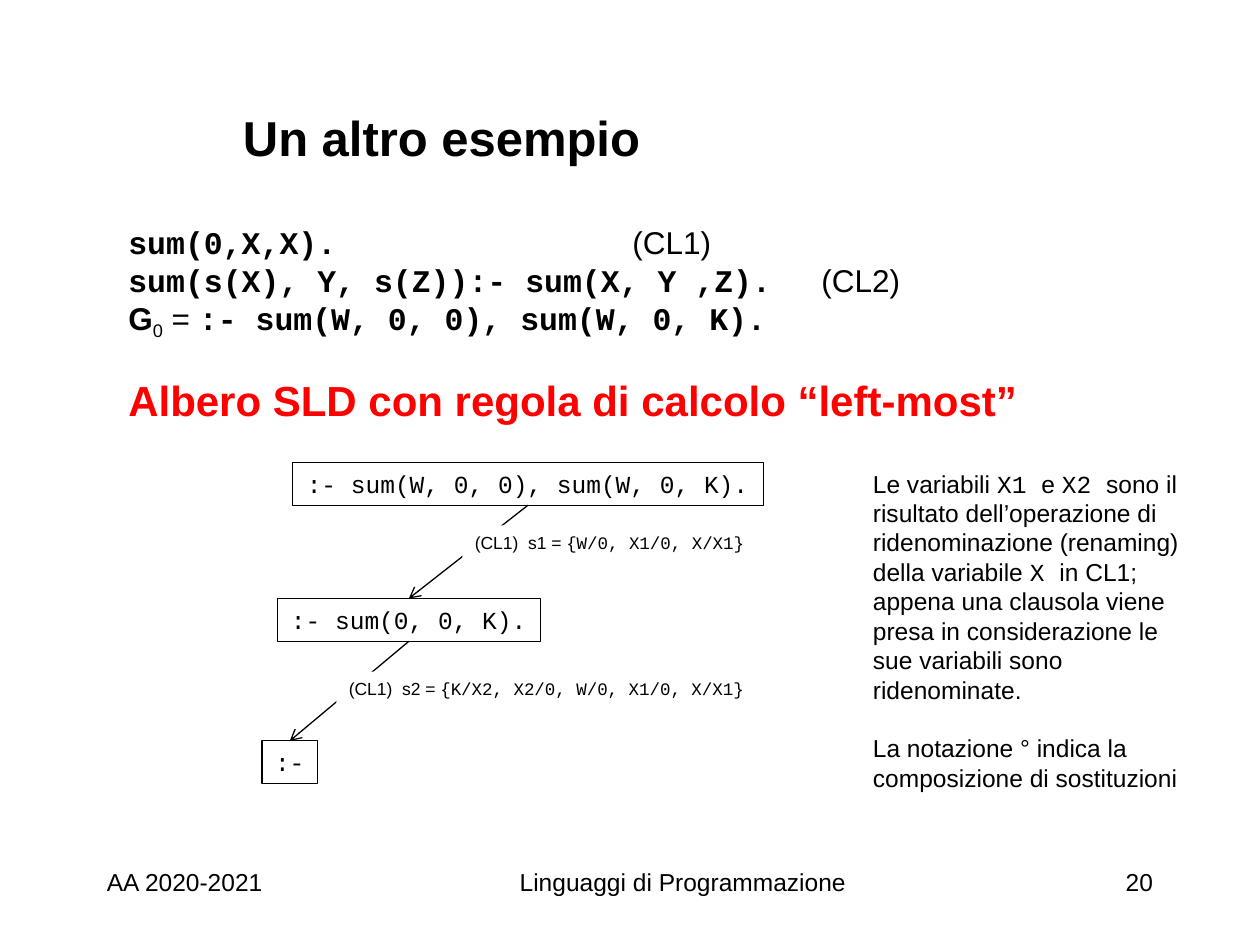
import pptx
import pptx.dml.color
import pptx.enum.shapes
import pptx.enum.text
import pptx.oxml
import pptx.oxml.ns
import pptx.util
from dataclasses import dataclass
from typing import NamedTuple, Optional

Inches = pptx.util.Inches
Align = pptx.enum.text.PP_ALIGN
Anchor = pptx.enum.text.MSO_ANCHOR
COLORS = {"black": "000000", "red": "FF0000", "white": "FFFFFF"}
SANS = "Arial"
MONO = "Courier New"


class Run(NamedTuple):
    text: str
    font: str = SANS
    bold: bool = False
    baseline: int = 0


@dataclass
class Block:
    left: float
    top: float
    width: float
    height: float
    paragraphs: list[list[Run]]
    size: float = 14
    color: str = "black"
    align: Align = Align.LEFT
    anchor: Anchor = Anchor.TOP
    wrap: bool = False
    grow: bool = True
    gap: float = 0
    fill: Optional[str] = None
    line: Optional[str] = None


def rgb(name: str) -> pptx.dml.color.RGBColor:
    return pptx.dml.color.RGBColor.from_string(COLORS[name])


def write_text(shape, block: Block) -> None:
    frame = shape.text_frame
    frame.word_wrap = block.wrap
    frame.vertical_anchor = block.anchor
    sizing = pptx.enum.text.MSO_AUTO_SIZE
    frame.auto_size = sizing.SHAPE_TO_FIT_TEXT if block.grow else sizing.NONE
    for index, runs in enumerate(block.paragraphs):
        paragraph = frame.add_paragraph() if index else frame.paragraphs[0]
        paragraph.alignment = block.align
        if index and block.gap:
            paragraph.space_before = pptx.util.Pt(block.gap)
        for item in runs:
            run = paragraph.add_run()
            run.text = item.text
            run.font.name = item.font
            run.font.size = pptx.util.Pt(block.size)
            run.font.bold = item.bold
            run.font.color.rgb = rgb(block.color)
            if item.baseline:
                run._r.get_or_add_rPr().set("baseline", str(item.baseline))


def add_block(slide, block: Block):
    bounds = [Inches(v) for v in (block.left, block.top, block.width, block.height)]
    if block.fill or block.line:
        shape = slide.shapes.add_shape(pptx.enum.shapes.MSO_SHAPE.RECTANGLE, *bounds)
        shape.shadow.inherit = False
        if block.fill:
            shape.fill.solid()
            shape.fill.fore_color.rgb = rgb(block.fill)
        else:
            shape.fill.background()
        if block.line:
            shape.line.color.rgb = rgb(block.line)
            shape.line.width = pptx.util.Pt(0.75)
        else:
            shape.line.fill.background()
    else:
        shape = slide.shapes.add_textbox(*bounds)
    write_text(shape, block)
    return shape


def add_arrow(slide, source, target) -> None:
    arrow = slide.shapes.add_connector(pptx.enum.shapes.MSO_CONNECTOR.STRAIGHT, 0, 0, 0, 0)
    arrow.begin_connect(source, 2)
    arrow.end_connect(target, 0)
    arrow.line.color.rgb = rgb("black")
    arrow.line.width = pptx.util.Pt(0.75)
    tail = pptx.oxml.parse_xml(f'<a:tailEnd {pptx.oxml.ns.nsdecls("a")} type="arrow"/>')
    arrow.line._get_or_add_ln().append(tail)
    effects = pptx.oxml.parse_xml(f'<a:effectLst {pptx.oxml.ns.nsdecls("a")}/>')
    arrow._element.spPr.append(effects)


def goal(left: float, top: float, width: float, text: str) -> Block:
    return Block(left, top, width, 0.34, [[Run(text, MONO)]], align=Align.CENTER, line="black")


def step(left: float, top: float, width: float, label: str, substitution: str) -> Block:
    runs = [Run(f"(CL1)  {label} = "), Run(substitution, MONO)]
    return Block(left, top, width, 0.27, [runs], size=10, fill="white")


TEXTS = [
    Block(0.75, 6.83, 2.5, 0.5, [[Run("AA 2020-2021")]], wrap=True, grow=False),
    Block(3.17, 6.83, 4.5, 0.5, [[Run("Linguaggi di Programmazione")]],
          align=Align.CENTER, wrap=True, grow=False),
    Block(7.25, 6.83, 2, 0.5, [[Run("20")]], align=Align.RIGHT, wrap=True, grow=False),
    Block(1.83, 0.67, 7.42, 0.83, [[Run("Un altro esempio", bold=True)]],
          size=28, anchor=Anchor.MIDDLE, wrap=True, grow=False),
    Block(0.92, 1.72, 6.89, 1.01, [
        [Run("sum(0,X,X).\t\t\t\t\t", MONO, True), Run("(CL1)")],
        [Run("sum(s(X), Y, s(Z)):- sum(X, Y ,Z).\t", MONO, True), Run("(CL2)")],
        [Run("G", bold=True), Run("0", baseline=-25000), Run(" = "),
         Run(":- sum(W, 0, 0), sum(W, 0, K).", MONO, True)],
    ], size=18),
    Block(0.92, 2.92, 7.26, 0.5,
          [[Run("Albero SLD con regola di calcolo “left-most”", bold=True)]],
          size=24, color="red"),
    Block(6.83, 3.67, 2.83, 2.46, [
        [Run("Le variabili "), Run("X1 ", MONO), Run("e "), Run("X2 ", MONO),
         Run("sono il risultato dell’operazione di ridenominazione (renaming) della variabile "),
         Run("X ", MONO),
         Run("in CL1; appena una clausola viene presa in considerazione "
             "le sue variabili sono ridenominate.")],
        [Run("La notazione ° indica la composizione di sostituzioni")],
    ], wrap=True, gap=16.8),
]
GOALS = [
    goal(2.32, 3.67, 3.74, ":- sum(W, 0, 0), sum(W, 0, K)."),
    goal(2.2, 4.75, 2.09, ":- sum(0, 0, K)."),
    goal(2.08, 5.88, 0.44, ":-"),
]
STEPS = [
    step(3.67, 4.17, 2.37, "s1", "{W/0, X1/0, X/X1}"),
    step(2.67, 5.33, 3.38, "s2", "{K/X2, X2/0, W/0, X1/0, X/X1}"),
]

presentation = pptx.Presentation()
presentation.slide_width = Inches(10)
presentation.slide_height = Inches(7.5)
slide = presentation.slides.add_slide(presentation.slide_layouts[6])
for text_block in TEXTS:
    add_block(slide, text_block)
goal_shapes = [add_block(slide, block) for block in GOALS]
for parent, child in zip(goal_shapes, goal_shapes[1:]):
    add_arrow(slide, parent, child)
for step_block in STEPS:
    add_block(slide, step_block)
presentation.save("out.pptx")
